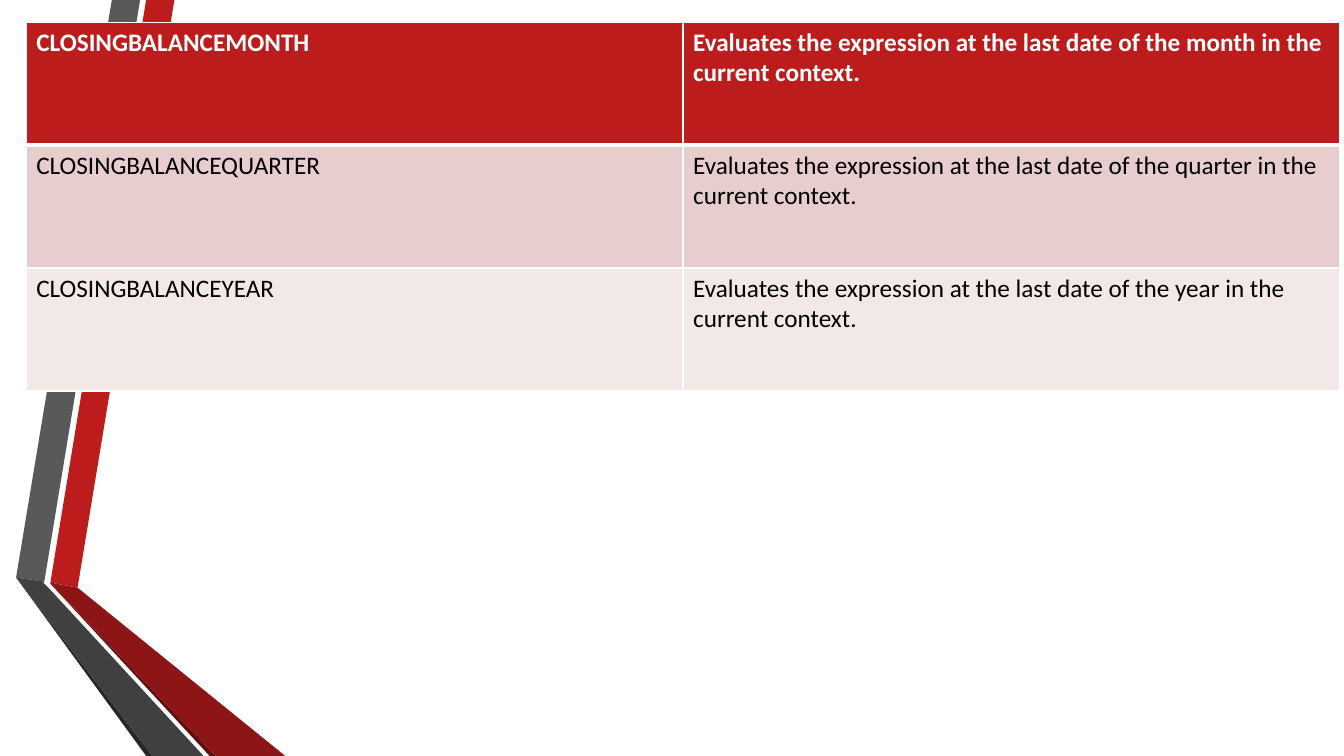
from dataclasses import dataclass

from lxml import etree
from pptx import Presentation
from pptx.dml.color import RGBColor
from pptx.oxml.ns import qn
from pptx.util import Inches, Pt

COLORS = {
    "red": "BC1C1C", "red_dark": "8D1515", "red_edge": "5E0E0E",
    "gray": "595959", "gray_dark": "404040", "gray_edge": "262626",
    "rose": "E7CDCD", "rose_light": "F3E8E8",
    "white": "FFFFFF", "black": "000000",
}
BLANK_LAYOUT = 6
BORDER_TAGS = ("a:lnL", "a:lnR", "a:lnT", "a:lnB")


@dataclass
class Ribbon:
    color: str
    points: list[tuple[float, float]]


@dataclass
class FunctionRow:
    name: str
    period: str
    fill: str
    text: str = "black"
    bold: bool = False
    top_border: float = 1
    bottom_border: float = 1


RIBBONS = [
    Ribbon("red", [(0.5, 5.78), (0.77, 5.83), (1.73, 0), (1.45, 0)]),
    Ribbon("gray", [(1.39, 0), (1.11, 0), (0.16, 5.73), (0.44, 5.77)]),
    Ribbon("gray_edge", [(0.16, 5.73), (1.45, 7.5), (1.51, 7.5)]),
    Ribbon("red_edge", [(0.5, 5.79), (2.08, 7.5), (2.14, 7.5)]),
    Ribbon("red_dark", [(0.5, 5.79), (2.14, 7.5), (2.83, 7.5), (0.77, 5.83), (0.5, 5.78)]),
    Ribbon("gray_dark", [(2.02, 7.5), (0.48, 5.83), (0.43, 5.78), (0.44, 5.77),
                         (0.16, 5.73), (1.51, 7.5)]),
]
FUNCTIONS = [
    FunctionRow("CLOSINGBALANCEMONTH", "month", "red", "white", True, bottom_border=3),
    FunctionRow("CLOSINGBALANCEQUARTER", "quarter", "rose", top_border=3),
    FunctionRow("CLOSINGBALANCEYEAR", "year", "rose_light"),
]


def rgb(name: str) -> RGBColor:
    return RGBColor.from_string(COLORS[name])


def draw_ribbon(slide, ribbon: Ribbon) -> None:
    start, *others = [(Inches(x), Inches(y)) for x, y in ribbon.points]
    builder = slide.shapes.build_freeform(*start)
    builder.add_line_segments(others, close=True)
    band = builder.convert_to_shape()
    band.shadow.inherit = False
    band.fill.solid()
    band.fill.fore_color.rgb = rgb(ribbon.color)
    band.line.fill.background()


def draw_borders(cell, row: FunctionRow) -> None:
    properties = cell._tc.get_or_add_tcPr()
    widths = (1, 1, row.top_border, row.bottom_border)
    # Borders come before the fill in the cell properties
    for position, (tag, width) in enumerate(zip(BORDER_TAGS, widths)):
        border = etree.Element(qn(tag), w=str(Pt(width)))
        fill = etree.SubElement(border, qn("a:solidFill"))
        etree.SubElement(fill, qn("a:srgbClr"), val=COLORS["white"])
        properties.insert(position, border)


def fill_cell(cell, text: str, row: FunctionRow) -> None:
    cell.fill.solid()
    cell.fill.fore_color.rgb = rgb(row.fill)
    draw_borders(cell, row)
    run = cell.text_frame.paragraphs[0].add_run()
    run.text = text
    for attribute, value in {"name": "Calibri", "size": Pt(18), "bold": row.bold}.items():
        setattr(run.font, attribute, value)
    run.font.color.rgb = rgb(row.text)


def draw_functions(slide, rows: list[FunctionRow]) -> None:
    row_height = Inches(1.22)
    functions = slide.shapes.add_table(
        len(rows), 2, Inches(0.26), Inches(0.22), Inches(13.03), row_height * len(rows)
    ).table
    for index, row in enumerate(rows):
        functions.rows[index].height = row_height
        description = (f"Evaluates the expression at the last date of the {row.period} "
                       "in the current context.")
        for column, text in enumerate((row.name, description)):
            fill_cell(functions.cell(index, column), text, row)


def main() -> None:
    presentation = Presentation()
    presentation.slide_width = Inches(13.33)
    presentation.slide_height = Inches(7.5)
    slide = presentation.slides.add_slide(presentation.slide_layouts[BLANK_LAYOUT])

    # Folded ribbons behind the table
    for ribbon in RIBBONS:
        draw_ribbon(slide, ribbon)

    # Closing balance functions
    draw_functions(slide, FUNCTIONS)
    presentation.save("out.pptx")


if __name__ == "__main__":
    main()
